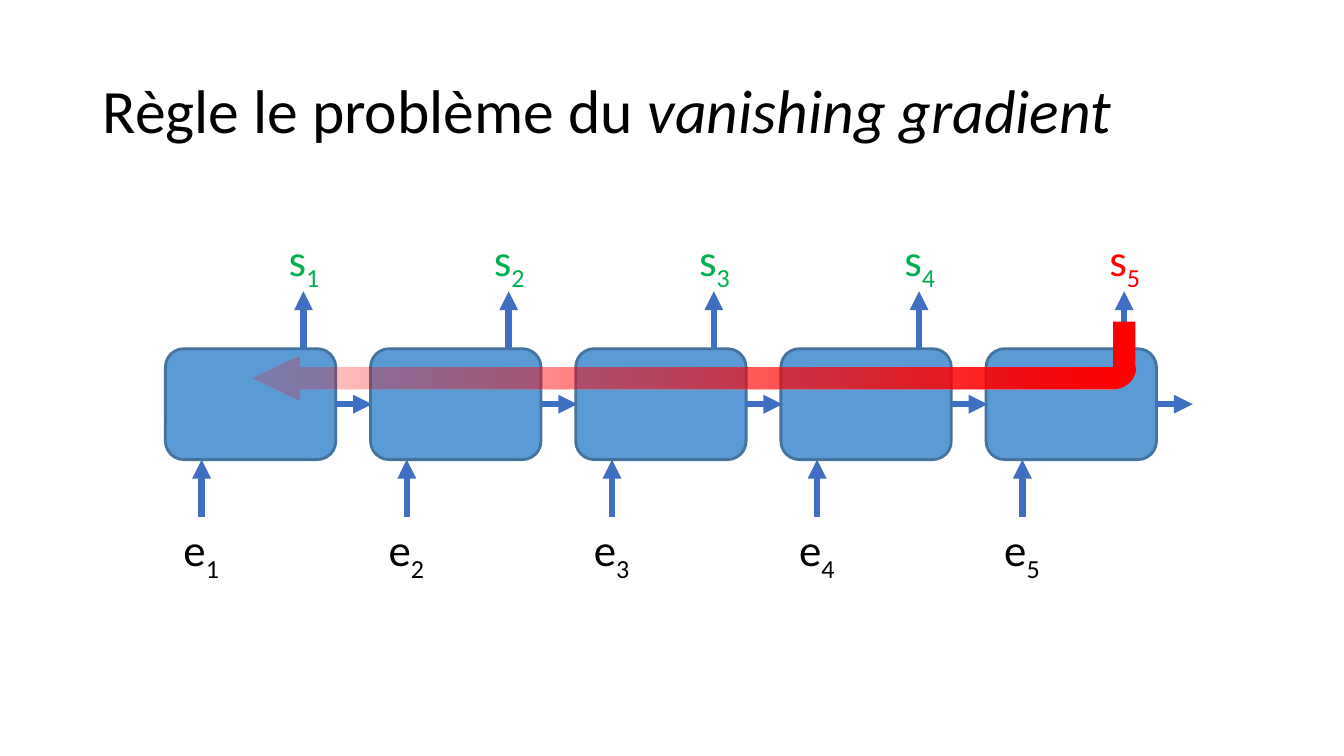
from lxml.etree import SubElement
from pptx import Presentation
from pptx.dml.color import RGBColor
from pptx.enum.shapes import MSO_CONNECTOR as Connector, MSO_SHAPE as Shape
from pptx.enum.text import MSO_ANCHOR as Anchor, PP_ALIGN as Align
from pptx.oxml.ns import qn
from pptx.util import Inches, Pt

BLACK, GREEN, RED = "000000", "00B050", "FF0000"
CELL_FILL, CELL_LINE, ARROW = "5B9BD5", "43739E", "3F6FC3"

CELL_COUNT = 5
CELL_LEFT, CELL_TOP, CELL_PITCH = 1.64, 3.46, 2.035
CELL_WIDTH, CELL_HEIGHT = 1.69, 1.1
ARROW_LENGTH = 0.57


def color(hex_string):
    return RGBColor.from_string(hex_string)


class DiagramSlide:
    """Holds the font and the slide, and draws each kind of element."""

    font_name = "Calibri"

    def __init__(self, presentation):
        self.slide = presentation.slides.add_slide(presentation.slide_layouts[5])

    def style_font(self, paragraph, size, hex_string):
        paragraph.font.name = self.font_name
        paragraph.font.size = Pt(size)
        paragraph.font.color.rgb = color(hex_string)

    def title(self, plain, emphasis):
        title = self.slide.shapes.title
        title.left, title.top = Inches(0.92), Inches(0.4)
        title.width, title.height = Inches(11.5), Inches(1.45)
        title.text_frame.vertical_anchor = Anchor.MIDDLE
        paragraph = title.text_frame.paragraphs[0]
        paragraph.alignment = Align.LEFT
        paragraph.line_spacing = 0.9
        self.style_font(paragraph, 44, BLACK)
        paragraph.add_run().text = plain
        run = paragraph.add_run()
        run.text = emphasis
        run.font.italic = True

    def label(self, left, top, letter, index, hex_string):
        """Write a letter with a subscript index."""
        box = self.slide.shapes.add_textbox(
            Inches(left), Inches(top), Inches(0.69), Inches(0.7))
        box.text_frame.word_wrap = True
        paragraph = box.text_frame.paragraphs[0]
        paragraph.alignment = Align.CENTER
        self.style_font(paragraph, 32, hex_string)
        paragraph.add_run().text = letter
        run = paragraph.add_run()
        run.text = str(index)
        run._r.get_or_add_rPr().set("baseline", "-25000")

    def shape(self, kind, left, top, width, height, fill, line=None, adjustments=()):
        shape = self.slide.shapes.add_shape(
            kind, Inches(left), Inches(top), Inches(width), Inches(height))
        shape.shadow.inherit = False
        for position, value in enumerate(adjustments):
            shape.adjustments[position] = value
        shape.fill.solid()
        shape.fill.fore_color.rgb = color(fill)
        if line:
            shape.line.color.rgb = color(line)
            shape.line.width = Pt(2)
        else:
            shape.line.fill.background()
        return shape

    def fading_arrow(self, left, top, width, height, hex_string, opacity):
        """Draw a left arrow that grows transparent towards its tip."""
        arrow = self.shape(Shape.LEFT_ARROW, left, top, width, height,
                           hex_string, adjustments=(0.5, 1.1))
        arrow.fill.gradient()
        arrow.fill.gradient_angle = 0
        for stop in arrow.fill.gradient_stops:
            stop.color.rgb = color(hex_string)
        tip_color = next(arrow.element.spPr.iter(qn("a:srgbClr")))
        SubElement(tip_color, qn("a:alpha"), val=str(opacity * 1000))

    def arrow(self, x1, y1, x2, y2):
        connector = self.slide.shapes.add_connector(
            Connector.STRAIGHT, Inches(x1), Inches(y1), Inches(x2), Inches(y2))
        connector.line.color.rgb = color(ARROW)
        connector.line.width = Pt(4.5)
        properties = connector.element.spPr
        SubElement(properties.find(qn("a:ln")), qn("a:tailEnd"), type="triangle")
        SubElement(properties, qn("a:effectLst"))

    def cell(self, index):
        """Draw one recurrent cell with its input, output and next-state arrows."""
        left = CELL_LEFT + (index - 1) * CELL_PITCH
        right, bottom = left + CELL_WIDTH, CELL_TOP + CELL_HEIGHT
        middle = CELL_TOP + CELL_HEIGHT / 2
        input_x, output_x = left + 0.36, left + 1.37
        self.shape(Shape.ROUNDED_RECTANGLE, left, CELL_TOP, CELL_WIDTH, CELL_HEIGHT,
                   CELL_FILL, CELL_LINE)
        self.arrow(output_x, CELL_TOP, output_x, CELL_TOP - ARROW_LENGTH)
        self.arrow(right, middle, right + 0.36, middle)
        self.arrow(input_x, bottom + ARROW_LENGTH, input_x, bottom)
        self.label(left + 0.01, 5.13, "e", index, BLACK)
        self.label(left + 1.03, 2.25, "s", index, RED if index == CELL_COUNT else GREEN)


def main():
    presentation = Presentation()
    presentation.slide_width, presentation.slide_height = Inches(13.33), Inches(7.5)
    diagram = DiagramSlide(presentation)
    diagram.title("Règle le problème du ", "vanishing gradient")
    for index in range(1, CELL_COUNT + 1):
        diagram.cell(index)

    # The gradient flows from the last output back to the first cell
    diagram.fading_arrow(2.49, 3.53, 8.57, 0.44, RED, opacity=19)
    diagram.shape(Shape.PIE, 10.83, 3.42, 0.44, 0.44, RED, adjustments=(0, 54))
    diagram.shape(Shape.RECTANGLE, 11.04, 3.19, 0.22, 0.45, RED)
    presentation.save("out.pptx")


if __name__ == "__main__":
    main()
